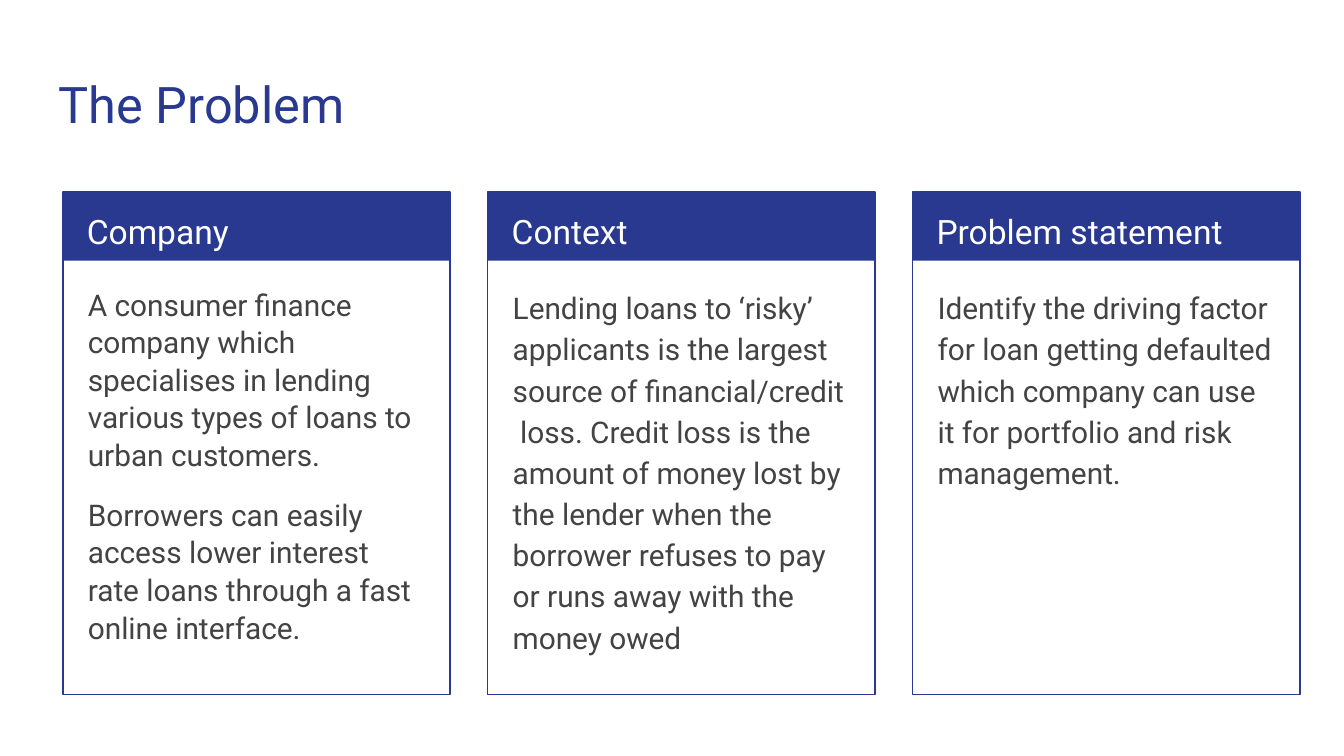
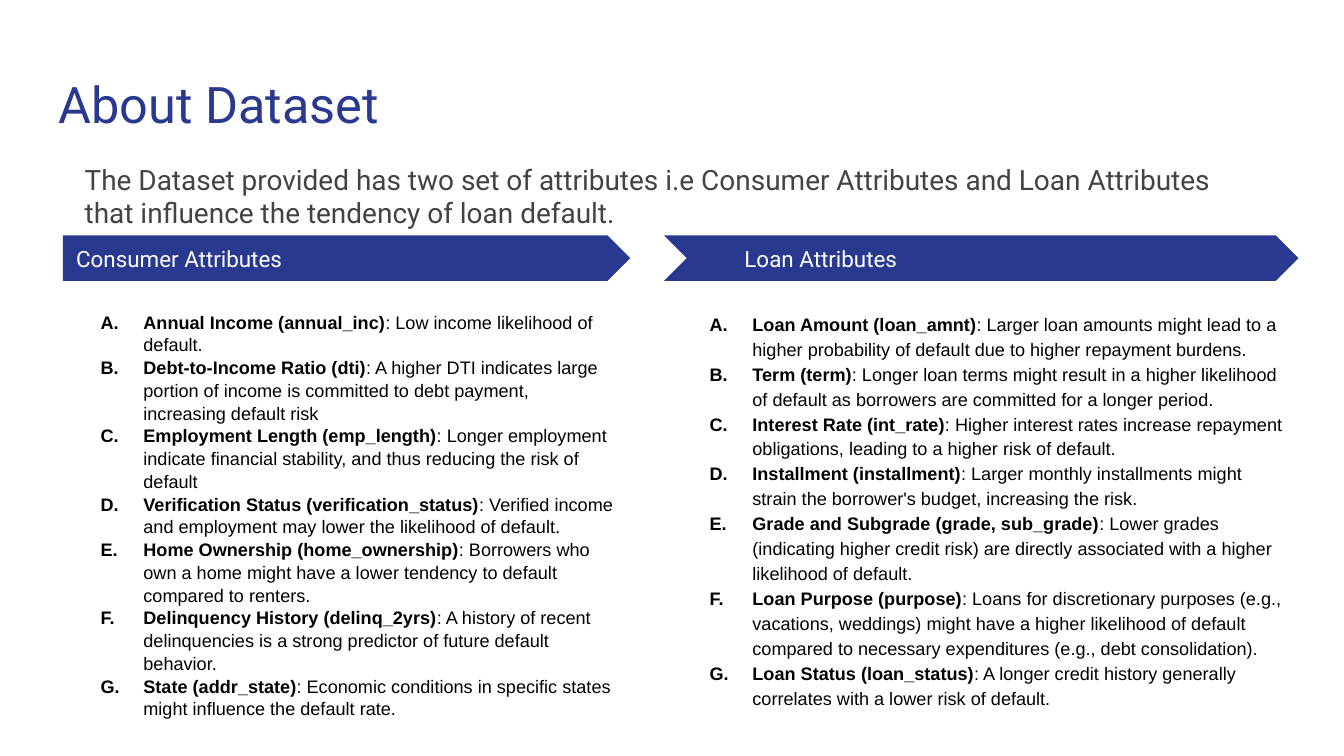
from lxml.etree import SubElement
from pptx import Presentation
from pptx.dml.color import RGBColor
from pptx.enum.shapes import MSO_SHAPE
from pptx.enum.text import MSO_ANCHOR, MSO_AUTO_SIZE, PP_ALIGN
from pptx.oxml.ns import qn
from pptx.util import Cm, Pt

NAVY = RGBColor(0x2A, 0x39, 0x90)
GRAY = RGBColor(0x43, 0x43, 0x43)
WHITE = RGBColor(0xFF, 0xFF, 0xFF)
BLACK = RGBColor(0x00, 0x00, 0x00)
SANS = "Roboto"
LIST_FONT = "Arial"
COMPARISON_LAYOUT = 4
SLOTS = [(1, 2), (3, 4), (None, None)]

CARDS = [
    ("Company", 1.05, [
        "A consumer finance company which specialises in lending various types of loans to urban customers.",
        "Borrowers can easily access lower interest rate loans through a fast online interface.",
    ]),
    ("Context", 1.15, [
        "Lending loans to ‘risky’ applicants is the largest source of financial/credit  loss. "
        "Credit loss is the amount of money lost by the lender when the borrower refuses to pay "
        "or runs away with the money owed",
    ]),
    ("Problem statement", 1.15, [
        "Identify the driving factor for loan getting defaulted which company can use it "
        "for portfolio and risk management.",
    ]),
]

INTRO = ("The Dataset provided has two set of attributes i.e Consumer Attributes and Loan Attributes "
         "that influence the tendency of loan default.")

CONSUMER = [
    ("Annual Income (annual_inc)", "Low income likelihood of default."),
    ("Debt-to-Income Ratio (dti)",
     "A higher DTI indicates large portion of income is committed to debt payment, increasing default risk"),
    ("Employment Length (emp_length)",
     "Longer employment indicate financial stability, and thus reducing the risk of default"),
    ("Verification Status (verification_status)",
     "Verified income and employment may lower the likelihood of default."),
    ("Home Ownership (home_ownership)",
     "Borrowers who own a home might have a lower tendency to default compared to renters."),
    ("Delinquency History (delinq_2yrs)",
     "A history of recent delinquencies is a strong predictor of future default behavior."),
    ("State (addr_state)", "Economic conditions in specific states might influence the default rate."),
]

LOAN = [
    ("Loan Amount (loan_amnt)",
     "Larger loan amounts might lead to a higher probability of default due to higher repayment burdens."),
    ("Term (term)",
     "Longer loan terms might result in a higher likelihood of default as borrowers are committed "
     "for a longer period."),
    ("Interest Rate (int_rate)",
     "Higher interest rates increase repayment obligations, leading to a higher risk of default."),
    ("Installment (installment)",
     "Larger monthly installments might strain the borrower's budget, increasing the risk."),
    ("Grade and Subgrade (grade, sub_grade)",
     "Lower grades (indicating higher credit risk) are directly associated with a higher "
     "likelihood of default."),
    ("Loan Purpose (purpose)",
     "Loans for discretionary purposes (e.g., vacations, weddings) might have a higher likelihood "
     "of default compared to necessary expenditures (e.g., debt consolidation)."),
    ("Loan Status (loan_status)",
     "A longer credit history generally correlates with a lower risk of default."),
]


def place_text(s, slot, x, y, w, h, anchor=MSO_ANCHOR.TOP):
    if slot is None:
        sp = s.shapes.add_textbox(0, 0, 0, 0)
    else:
        sp = s.placeholders[slot]
        s.shapes._spTree.append(sp._element)
    sp.left, sp.top, sp.width, sp.height = Cm(x), Cm(y), Cm(w), Cm(h)
    tf = sp.text_frame
    tf.word_wrap = True
    tf.auto_size = MSO_AUTO_SIZE.NONE
    tf.vertical_anchor = anchor
    tf.margin_left = tf.margin_top = tf.margin_right = tf.margin_bottom = Cm(0.25)
    return tf


def style_run(r, size, color, font=SANS, bold=False):
    r.font.name = font
    r.font.size = Pt(size)
    r.font.bold = bold
    r.font.color.rgb = color


def style_paragraph(p, spacing=1.0, before=0, after=0, numbered=False):
    p.alignment = PP_ALIGN.LEFT
    p.line_spacing = spacing
    p.space_before, p.space_after = Pt(before), Pt(after)
    pPr = p._p.get_or_add_pPr()
    pPr.set("marL", str(Cm(1.27) if numbered else 0))
    pPr.set("indent", str(Cm(-0.81) if numbered else 0))
    if numbered:
        color = SubElement(pPr, qn("a:buClr"))
        SubElement(color, qn("a:srgbClr"), val=str(BLACK))
        SubElement(pPr, qn("a:buAutoNum"), type="alphaUcPeriod")
    else:
        SubElement(pPr, qn("a:buNone"))


def write_line(tf, text, size, color, spacing=1.0):
    tf.text = text
    p = tf.paragraphs[0]
    style_paragraph(p, spacing)
    style_run(p.runs[0], size, color)


def add_block(shapes, kind, x, y, w, h, filled=True):
    sp = shapes.add_shape(kind, Cm(x), Cm(y), Cm(w), Cm(h))
    sp.shadow.inherit = False
    if filled:
        sp.fill.solid()
        sp.fill.fore_color.rgb = NAVY
        sp.line.fill.background()
    else:
        sp.fill.background()
        sp.line.color.rgb = NAVY
        sp.line.width = Pt(0.75)
    return sp


def add_titled_slide(prs, title):
    s = prs.slides.add_slide(prs.slide_layouts[COMPARISON_LAYOUT])
    write_line(place_text(s, 0, 0.86, 1.14, 23.67, 1.68), title, 27, NAVY)
    return s


def add_card(s, slots, x, y, w, h, heading, spacing, texts):
    group = s.shapes.add_group_shape()
    add_block(group.shapes, MSO_SHAPE.RECTANGLE, x, y, w, 1.3)
    add_block(group.shapes, MSO_SHAPE.RECTANGLE, x, y, w, h, filled=False)
    head_slot, body_slot = slots
    write_line(place_text(s, head_slot, x + 0.2, y, w - 0.4, 1.27), heading, 18, WHITE, 1.15)

    tf = place_text(s, body_slot, x + 0.22, y + 1.5, w - 0.44, h - 1.73)
    tf.text = "\n".join(texts)
    for i, p in enumerate(tf.paragraphs):
        last = i == len(texts) - 1
        style_paragraph(p, spacing, before=12 if i else 0, after=12 if last else 0)
        style_run(p.runs[0], 16, GRAY)


def add_attributes(s, slots, kind, x, y, w, heading, indent, list_inset, spacing, items):
    add_block(s.shapes, kind, x, y, w, 0.86)
    head_slot, list_slot = slots
    tf = place_text(s, head_slot, x + indent, y, 9.8, 0.86, MSO_ANCHOR.MIDDLE)
    write_line(tf, heading, 12, WHITE)

    tf = place_text(s, list_slot, x + list_inset, y + 1.16, w - list_inset, 8.36)
    for i, (name, effect) in enumerate(items):
        p = tf.add_paragraph() if i else tf.paragraphs[0]
        style_paragraph(p, spacing, before=0 if i else 11, numbered=True)
        for text, bold in ((name, True), (f": {effect}", False)):
            r = p.add_run()
            r.text = text
            style_run(r, 9.7, BLACK, LIST_FONT, bold)


def build_problem(prs):
    s = add_titled_slide(prs, "The Problem")
    for i, (slots, card) in enumerate(zip(SLOTS, CARDS)):
        add_card(s, slots, 1.19 + i * 8.03, 3.63, 7.32, 9.5, *card)


def build_dataset(prs):
    s = add_titled_slide(prs, "About Dataset")
    add_attributes(s, SLOTS[0], MSO_SHAPE.PENTAGON, 1.19, 4.45, 10.72,
                   "Consumer Attributes", 0, 0, 1.05, CONSUMER)
    add_attributes(s, SLOTS[1], MSO_SHAPE.CHEVRON, 12.55, 4.45, 11.99,
                   "Loan Attributes", 1.27, 0.15, 1.15, LOAN)
    write_line(place_text(s, None, 1.35, 2.82, 22.81, 1.68), INTRO, 15, GRAY)


def main():
    prs = Presentation()
    prs.slide_width, prs.slide_height = Cm(25.4), Cm(14.29)
    build_problem(prs)
    build_dataset(prs)
    prs.save("out.pptx")


if __name__ == "__main__":
    main()
